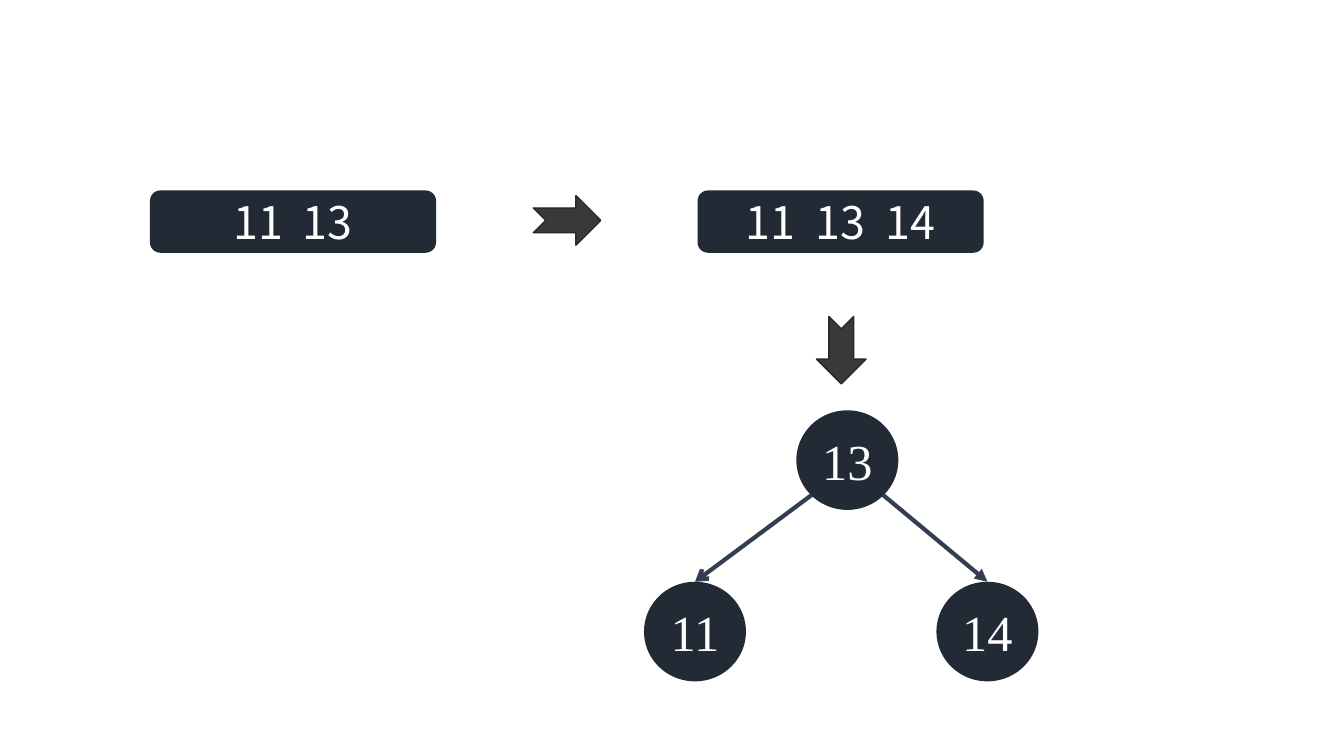
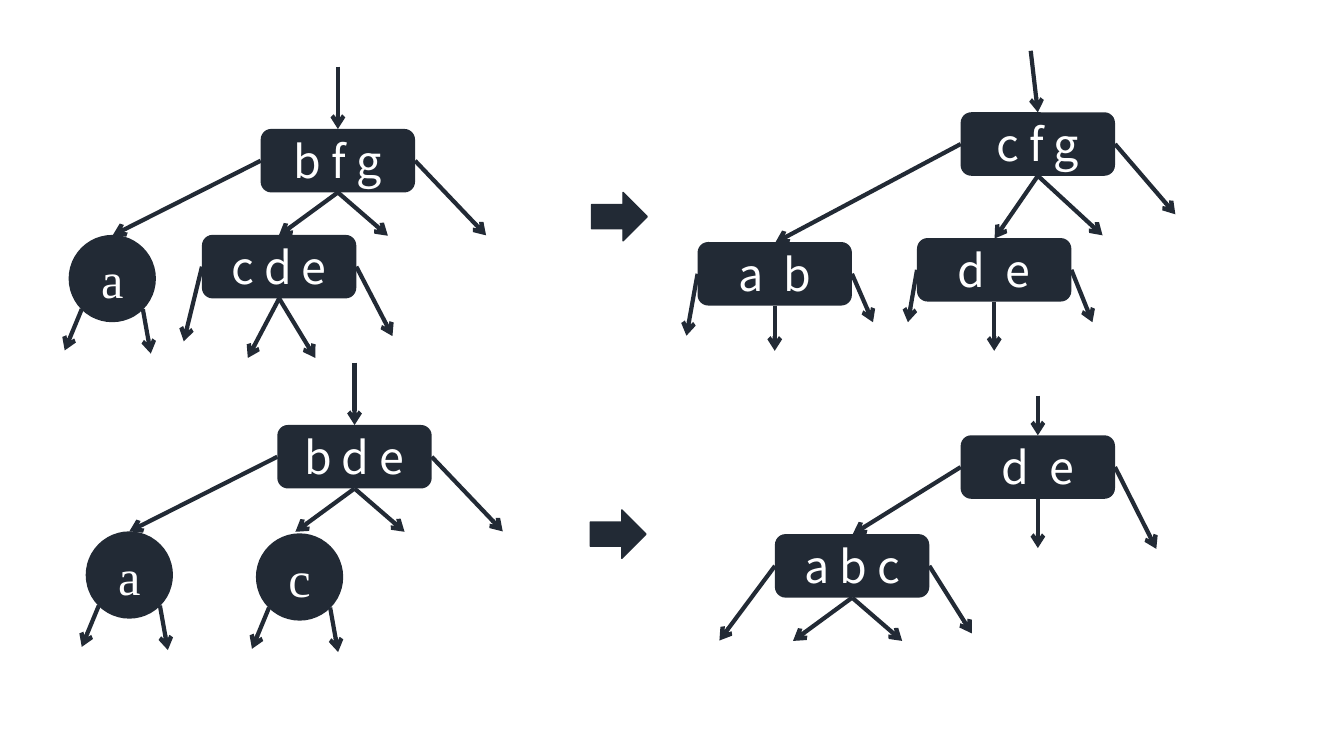
from lxml import etree
from pptx import Presentation
from pptx import util as u
from pptx.dml.color import RGBColor
from pptx.enum import shapes, text
from pptx.oxml import ns

NAVY = RGBColor(0x22, 0x2A, 0x35)
SLATE = RGBColor(0x33, 0x3F, 0x50)
BROWN = RGBColor(0x3B, 0x38, 0x38)
WHITE = RGBColor(0xFF, 0xFF, 0xFF)
SANS, SERIF = "Noto Sans CJK SC", "Times New Roman"
FORM = shapes.MSO_SHAPE
BOX = dict(form=FORM.ROUNDED_RECTANGLE, font=SANS, points=32)
CIRCLE = dict(form=FORM.OVAL, font=SERIF, points=36)

# Where arrows meet a node, as fractions of its width and height
SIDES = {"top": (0.5, 0), "bottom": (0.5, 1), "left": (0, 0.5), "right": (1, 0.5),
         "lower left": (0.15, 0.85), "lower right": (0.85, 0.85)}


def add_node(canvas, label, left, top, width, height, form, font=SANS, points=32,
             fill=NAVY, outline=None, rotation=0):
    """Add a filled shape (cm) and return its arrow points by side."""
    node = canvas.add_shape(form, u.Cm(left), u.Cm(top), u.Cm(width), u.Cm(height))
    node.shadow.inherit = False
    node.rotation = rotation
    node.fill.solid()
    node.fill.fore_color.rgb = fill
    if outline:
        node.line.color.rgb = outline
        node.line.width = u.Pt(1)
    else:
        node.line.fill.background()
    if label:
        frame = node.text_frame
        frame.word_wrap = False
        frame.margin_left = frame.margin_right = frame.margin_top = frame.margin_bottom = 0
        frame.vertical_anchor = text.MSO_ANCHOR.MIDDLE
        paragraph = frame.paragraphs[0]
        paragraph.alignment = text.PP_ALIGN.CENTER
        run = paragraph.add_run()
        run.text = label
        run.font.name, run.font.size = font, u.Pt(points)
        run.font.color.rgb = WHITE
    return {side: (left + fx * width, top + fy * height) for side, (fx, fy) in SIDES.items()}


def add_arrow(canvas, start, end, color=NAVY, head="arrow"):
    arrow = canvas.add_connector(shapes.MSO_CONNECTOR.STRAIGHT,
                                 *(u.Cm(value) for value in (*start, *end)))
    arrow.line.color.rgb = color
    arrow.line.width = u.Pt(3)
    properties = arrow.element.spPr
    etree.SubElement(properties.get_or_add_ln(), ns.qn("a:tailEnd"), type=head)
    etree.SubElement(properties, ns.qn("a:effectLst"))


deck = Presentation()
deck.slide_width, deck.slide_height = u.Cm(33.87), u.Cm(19.05)
blank = deck.slide_layouts[6]

# Slide 1: inserting 14 splits the full node
split = deck.slides.add_slide(blank).shapes
for keys, left in (("11  13", 3.78), ("11  13  14", 17.58)):
    add_node(split, keys, left, 4.8, 7.21, 1.57, **BOX)
for left, top, rotation in ((13.44, 4.93, 0), (20.35, 8.2, 90)):
    add_node(split, "", left, top, 1.7, 1.25, form=FORM.NOTCHED_RIGHT_ARROW,
             fill=BROWN, outline=NAVY, rotation=rotation)

# The resulting tree
tree = split.add_group_shape().shapes
root, low, high = [add_node(tree, key, left, top, 2.57, 2.51, **CIRCLE)
                   for key, left, top in (("13", 20.07, 10.34), ("11", 16.23, 14.66),
                                          ("14", 23.6, 14.66))]
add_arrow(tree, root["lower left"], low["top"], color=SLATE)
add_arrow(tree, root["lower right"], high["top"], color=SLATE, head="triangle")

# Slide 2: borrowing from a sibling (above) and merging (below)
removal = deck.slides.add_slide(blank).shapes
for left, top in ((14.91, 4.85), (14.88, 12.85)):
    add_node(removal, "", left, top, 1.4, 1.22, form=FORM.RIGHT_ARROW, outline=NAVY)

# Arrow offsets from each side; a "top" arrow comes in, the others go out
FORK = [("bottom", -1.49, 1.09), ("bottom", 1.26, 1.09)]
PARENT = [("top", 0, -1.57), ("left", -3.73, 1.88), ("right", 1.79, 1.88), *FORK]
LEGS = [("lower left", -0.43, 1.04), ("lower right", 0.2, 1.12)]

boxes = [
    ("b f g", 6.57, 3.25, PARENT),
    ("c d e", 5.09, 5.92, [("left", -0.46, 1.88), ("right", 0.91, 1.75),
                           ("bottom", -0.79, 1.5), ("bottom", 0.91, 1.5)]),
    ("c f g", 24.21, 2.83, [("top", -0.18, -1.55), ("left", -4.67, 2.48),
                            ("right", 1.52, 1.77), ("bottom", -1.09, 1.58),
                            ("bottom", 1.63, 1.5)]),
    ("a  b", 17.58, 6.1, [("left", -0.28, 1.56), ("right", 0.53, 1.22), ("bottom", 0, 1.14)]),
    ("d  e", 23.11, 6, [("left", -0.23, 1.32), ("right", 0.53, 1.32), ("bottom", 0, 1.24)]),
    ("b d e", 6.99, 10.71, PARENT),
    ("a b c", 19.53, 13.46, [("left", -1.4, 1.88), ("right", 1.07, 1.7), *FORK]),
    ("d  e", 24.21, 10.97, [("top", 0, -1), ("left", -2.72, 1.69),
                            ("right", 1.04, 2.06), ("bottom", 0, 1.24)]),
]
circles = [("a", 1.73, 5.92, LEGS), ("a", 2.16, 13.39, LEGS), ("c", 6.45, 13.44, LEGS)]

for nodes, width, height, style in ((boxes, 3.89, 1.6, BOX), (circles, 2.2, 2.2, CIRCLE)):
    for keys, left, top, arrows in nodes:
        points = add_node(removal, keys, left, top, width, height, **style)
        for side, dx, dy in arrows:
            x, y = points[side]
            ends = [(x, y), (x + dx, y + dy)]
            if side == "top":
                ends.reverse()
            add_arrow(removal, *ends)

deck.save("out.pptx")
